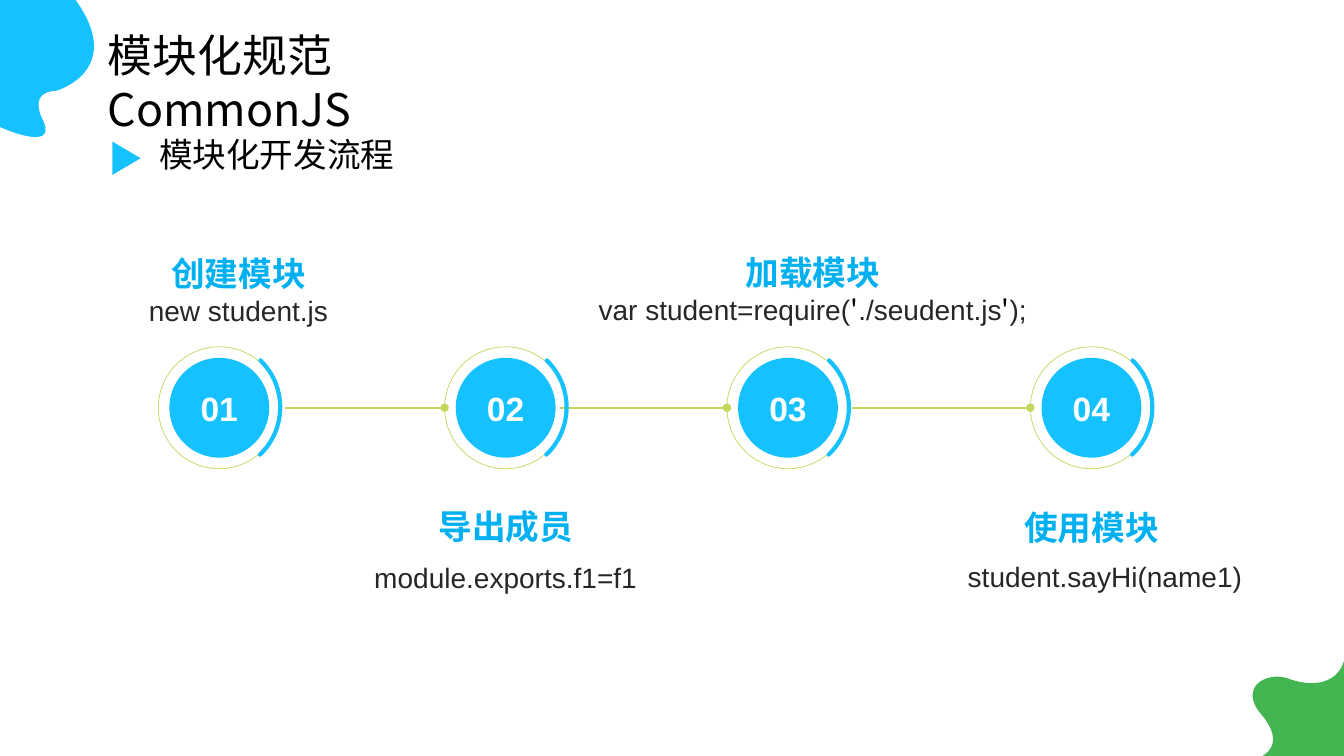
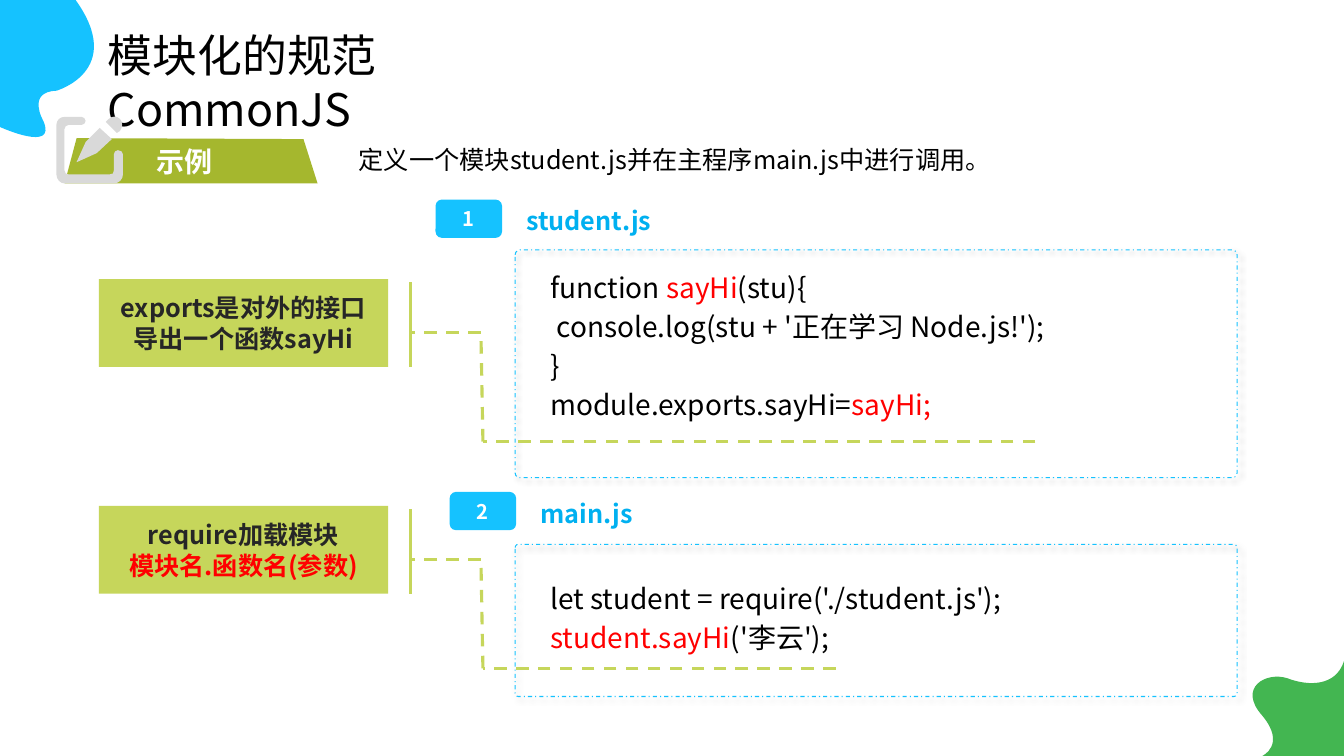
from lxml import etree
from pptx import Presentation
from pptx.dml.color import RGBColor
from pptx.enum.dml import MSO_LINE
from pptx.enum.shapes import MSO_CONNECTOR, MSO_SHAPE
from pptx.enum.text import MSO_ANCHOR, PP_ALIGN
from pptx.oxml.ns import qn
from pptx.util import Inches, Pt

CENTER = PP_ALIGN.CENTER
MIDDLE, BOTTOM = MSO_ANCHOR.MIDDLE, MSO_ANCHOR.BOTTOM
DASH, DASH_DOT = MSO_LINE.DASH, MSO_LINE.DASH_DOT
STRAIGHT = MSO_CONNECTOR.STRAIGHT


class Theme:
    blue, sky, green = "15C2FF", "00B0F0", "43B651"
    lime, olive, gray = "C6D65B", "A5B72E", "D9D9D9"
    black, ink, white, red = "000000", "262626", "FFFFFF", "FF0000"
    cjk, latin = "Noto Sans CJK SC", "Arial"
    styles = {
        "title": (32, False, cjk, black),
        "subtitle": (24, False, cjk, black),
        "number": (24, True, latin, white),
        "heading": (24, True, latin, sky),
        "detail": (20, False, latin, ink),
        "quote": (20, False, cjk, black),
        "task": (18, False, cjk, black),
        "code": (20, False, cjk, black),
        "code_red": (20, False, cjk, red),
        "tag": (20, True, cjk, white),
        "note": (18, True, cjk, ink),
        "note_red": (18, True, cjk, red),
        "file": (18, True, cjk, sky),
        "badge": (14.4, True, cjk, white),
    }


def write(tf, paragraphs, frame=None, para=None, gap=0):
    for key, value in {"word_wrap": True, **(frame or {})}.items():
        setattr(tf, key, value)
    for i, runs in enumerate(paragraphs):
        p = tf.paragraphs[0] if i == 0 else tf.add_paragraph()
        for key, value in (para or {}).items():
            setattr(p, key, value)
        if i and gap:
            p.space_before = Pt(gap)
        for text, style in runs:
            size, bold, name, color = Theme.styles[style]
            r = p.add_run()
            r.text = text
            for key, value in {"size": Pt(size), "bold": bold, "name": name}.items():
                setattr(r.font, key, value)
            r.font.color.rgb = RGBColor.from_string(color)
            rPr = r.font._element
            etree.SubElement(rPr, qn("a:ea"), typeface=Theme.cjk)
            if style == "badge":
                rPr.set("spc", "300")


def paint(sp, fill=None, line=None, width=1, dash=None):
    if hasattr(sp, "fill"):
        sp.shadow.inherit = False
        if fill:
            sp.fill.solid()
            sp.fill.fore_color.rgb = RGBColor.from_string(fill)
        else:
            sp.fill.background()
    else:
        etree.SubElement(sp._element.spPr, qn("a:effectLst"))
    if line:
        sp.line.color.rgb = RGBColor.from_string(line)
        sp.line.width = Pt(width)
        if dash:
            sp.line.dash_style = dash
    else:
        sp.line.fill.background()
    return sp


blue_blob = (Theme.blue, [[
    (0, 1.26), (0, 1.26, 0.57, 1.52, 0.43, 1.2), (0.43, 1.2, 0.26, 0.91, 0.56, 0.9),
    (0.56, 0.9, 1.25, 0.7, 0.75, 0), (0, 0)]])
green_blob = (Theme.green, [[
    (12.52, 7.5), (12.52, 7.5, 12.76, 7.39, 12.52, 7.1),
    (12.27, 6.82, 12.56, 6.66, 12.77, 6.73),
    (12.98, 6.81, 13.25, 6.81, 13.33, 6.56), (13.33, 7.5)]])
tag_band = (Theme.olive, [[(0.76, 1.37), (3.01, 1.38), (3.15, 1.82), (0.64, 1.82)]])
pencil_icon = (Theme.gray, [
    [(1.19, 1.3), (1.16, 1.32), (1.05, 1.21), (1.08, 1.18),
     (1.11, 1.15, 1.16, 1.15, 1.19, 1.18), (1.22, 1.21, 1.22, 1.26, 1.19, 1.3)],
    [(1.11, 1.38), (0.96, 1.52), (0.76, 1.61), (0.85, 1.41), (0.99, 1.27)],
    [(0.81, 1.24), (0.68, 1.24), (0.66, 1.24, 0.64, 1.26, 0.64, 1.28), (0.64, 1.69),
     (0.64, 1.72, 0.66, 1.73, 0.68, 1.73), (1.09, 1.73),
     (1.12, 1.73, 1.13, 1.72, 1.13, 1.69), (1.13, 1.53),
     (1.13, 1.51, 1.15, 1.49, 1.17, 1.49), (1.2, 1.49, 1.22, 1.51, 1.22, 1.53),
     (1.22, 1.73), (1.22, 1.78, 1.18, 1.82, 1.13, 1.82), (0.64, 1.82),
     (0.6, 1.82, 0.56, 1.78, 0.56, 1.73), (0.56, 1.24),
     (0.56, 1.19, 0.6, 1.16, 0.64, 1.16), (0.81, 1.16),
     (0.83, 1.16, 0.85, 1.18, 0.85, 1.2), (0.85, 1.22, 0.83, 1.24, 0.81, 1.24)]])

prs = Presentation()
prs.slide_width, prs.slide_height = Inches(13.33), Inches(7.5)
pages = [
    ("模块化规范CommonJS", 4.8, [blue_blob, green_blob]),
    ("模块化的规范CommonJS", 5.2, [blue_blob, green_blob, tag_band, pencil_icon]),
]
slides = []
for title, width, outlines in pages:
    s = prs.slides.add_slide(prs.slide_layouts[6])
    slides.append(s)
    box = s.shapes.add_textbox(Inches(0.97), Inches(0.23), Inches(width), Inches(0.64))
    write(box.text_frame, [[(title, "title")]])
    for fill, contours in outlines:
        builder = None
        for start, *segments in contours:
            first = [Inches(v) for v in start]
            if builder is None:
                builder = s.shapes.build_freeform(*first)
            else:
                builder.move_to(*first)
            builder.add_line_segments([(Inches(seg[k]), Inches(seg[k + 1]))
                                       for seg in segments for k in range(0, len(seg), 2)])
        sp = paint(builder.convert_to_shape(), fill)
        nodes = iter(list(sp._element.iter(qn("a:lnTo"))))
        for contour in contours:
            for seg in contour[1:]:
                steps = [next(nodes) for _ in range(len(seg) // 2)]
                if len(steps) == 3:
                    curve = etree.Element(qn("a:cubicBezTo"))
                    steps[0].addprevious(curve)
                    for step in steps:
                        curve.append(step[0])
                        step.getparent().remove(step)

s = slides[0]
box = s.shapes.add_textbox(Inches(1.48), Inches(1.28), Inches(3.33), Inches(0.5))
write(box.text_frame, [[("模块化开发流程", "subtitle")]])
marker = s.shapes.add_shape(MSO_SHAPE.ISOSCELES_TRIANGLE, Inches(1.09), Inches(1.43),
                            Inches(0.33), Inches(0.28))
marker.rotation = 90
paint(marker, Theme.blue)

flush = dict.fromkeys(["margin_left", "margin_top", "margin_right", "margin_bottom"], 0)
ring_top, ring_size = 3.44, 1.21
axis = ring_top + ring_size / 2
steps = [("01", 1.57, None), ("03", 7.21, 5.55), ("02", 4.41, 2.83), ("04", 10.22, 8.45)]
for number, x, link_start in steps:
    ring = s.shapes.add_shape(MSO_SHAPE.OVAL, Inches(x), Inches(ring_top),
                              Inches(ring_size), Inches(ring_size))
    paint(ring, line=Theme.lime, width=0.5)
    disc = s.shapes.add_shape(MSO_SHAPE.OVAL, Inches(x + 0.11), Inches(ring_top + 0.11),
                              Inches(0.99), Inches(0.99))
    paint(disc, Theme.blue)
    write(disc.text_frame, [[(number, "number")]],
          {**flush, "word_wrap": False, "vertical_anchor": MIDDLE}, {"alignment": CENTER})
    arc = s.shapes.add_shape(MSO_SHAPE.ARC, Inches(x - 0.09), Inches(ring_top - 0.05),
                             Inches(1.3), Inches(1.3))
    arc.adjustments[0], arc.adjustments[1] = 26.572, 81.761
    arc.rotation = 270
    paint(arc, line=Theme.blue, width=3)
    arc.line._ln.set("cap", "rnd")
    if link_start:
        link = s.shapes.add_connector(STRAIGHT, Inches(link_start), Inches(axis),
                                      Inches(x), Inches(axis))
        paint(link, line=Theme.lime, width=1.25)
        etree.SubElement(link.line._ln, qn("a:tailEnd"), type="oval")

captions = [
    ((0.97, 2.51, 2.79, 0.76), [[("创建模块", "heading")], [("new student.js", "detail")]], {}, {}),
    ((5.67, 2.5, 4.78, 1.85), [
        [("加载模块", "heading")],
        [("var student=require(", "detail"), ("'", "quote"), ("./seudent.js", "detail"),
         ("'", "quote"), (");", "detail")]], {}, {}),
    ((3.62, 5.39, 2.79, 1.24), [[("module.exports.f1=f1", "detail")]], {}, {"line_spacing": 1.5}),
    ((3.62, 4.93, 2.79, 0.49), [[("导出成员", "heading")]], {"vertical_anchor": BOTTOM}, {}),
    ((9.53, 5.38, 2.86, 1.24), [[("student.sayHi(name1)", "detail")]], {}, {"line_spacing": 1.5}),
    ((9.43, 4.94, 2.79, 0.49), [[("使用模块", "heading")]], {"vertical_anchor": BOTTOM}, {}),
]
for at, paragraphs, frame, para in captions:
    box = s.shapes.add_textbox(*[Inches(v) for v in at])
    write(box.text_frame, paragraphs, {**flush, **frame}, {"alignment": CENTER, **para})

s = slides[1]
labels = [
    ((3.46, 1.38, 7.75, 0.4), "定义一个模块student.js并在主程序main.js中进行调用。", "task"),
    ((1.45, 1.38, 0.76, 0.44), "示例", "tag"),
]
for at, text, style in labels:
    box = s.shapes.add_textbox(*[Inches(v) for v in at])
    write(box.text_frame, [[(text, style)]])

examples = [
    {"file": "student.js", "badge": (4.32, 1.98), "panel": (2.48, 2.26), "code_top": 2.63,
     "code_height": 2.36, "reach": 10.27,
     "code": [
         [("function ", "code"), ("sayHi", "code_red"), ("(stu){", "code")],
         [(" console.log(stu + '正在学习 Node.js!');", "code")],
         [("}", "code")],
         [("module.exports.sayHi=", "code"), ("sayHi;", "code_red")]],
     "note": [[("exports是对外的接口", "note")], [("导出一个函数sayHi", "note")]]},
    {"file": "main.js", "badge": (4.46, 4.88), "panel": (5.4, 1.51), "code_top": 5.72,
     "code_height": 1.19, "reach": 8.29,
     "code": [
         [("let student = require('./student.js');", "code")],
         [("student.sayHi", "code_red"), ("('李云');", "code")]],
     "note": [[("require加载模块", "note")], [("模块名.函数名(参数)", "note_red")]]},
]
for i, ex in enumerate(examples):
    top, height = ex["panel"]
    panel = s.shapes.add_shape(MSO_SHAPE.ROUNDED_RECTANGLE, Inches(5.11), Inches(top),
                               Inches(7.16), Inches(height))
    panel.adjustments[0] = 0.021
    paint(panel, line=Theme.blue, width=0.75, dash=DASH_DOT)
    effects = panel._element.spPr.find(qn("a:effectLst"))
    shadow = etree.SubElement(effects, qn("a:outerShdw"), blurRad=str(Pt(4)),
                              dist=str(Pt(3)), dir="2700000", algn="tl", rotWithShape="0")
    shade = etree.SubElement(shadow, qn("a:srgbClr"), val=Theme.black)
    etree.SubElement(shade, qn("a:alpha"), val="40000")
    box = s.shapes.add_textbox(Inches(5.36), Inches(ex["code_top"]), Inches(6.66),
                               Inches(ex["code_height"]))
    write(box.text_frame, ex["code"], gap=4)

    x, y = ex["badge"]
    badge = s.shapes.add_shape(MSO_SHAPE.ROUNDED_RECTANGLE, Inches(x), Inches(y),
                               Inches(0.66), Inches(0.38))
    paint(badge, Theme.blue)
    write(badge.text_frame, [[(str(i + 1), "badge")]], {"vertical_anchor": MIDDLE},
          {"alignment": CENTER})
    box = s.shapes.add_textbox(Inches(x + 0.8), Inches(y - 0.14), Inches(2.42), Inches(0.55))
    write(box.text_frame, [[(ex["file"], "file")]], para={"line_spacing": 1.5})

    y = 2.77 + 2.25 * i
    note = s.shapes.add_shape(MSO_SHAPE.RECTANGLE, Inches(0.98), Inches(y),
                              Inches(2.87), Inches(0.87))
    paint(note, Theme.lime)
    write(note.text_frame, ex["note"], {"vertical_anchor": MIDDLE}, {"alignment": CENTER})
    lines = [
        (ex["reach"], y + 1.61, 4.79, y + 1.61, DASH),
        (4.79, y + 1.61, 4.77, y + 0.53, DASH),
        (4.77, y + 0.53, 4.07, y + 0.53, DASH),
        (4.07, y + 0.03, 4.07, y + 0.87, None),
    ]
    for *ends, dash in lines:
        line = s.shapes.add_connector(STRAIGHT, *[Inches(v) for v in ends])
        paint(line, line=Theme.lime, width=2.25, dash=dash)

prs.save("out.pptx")
